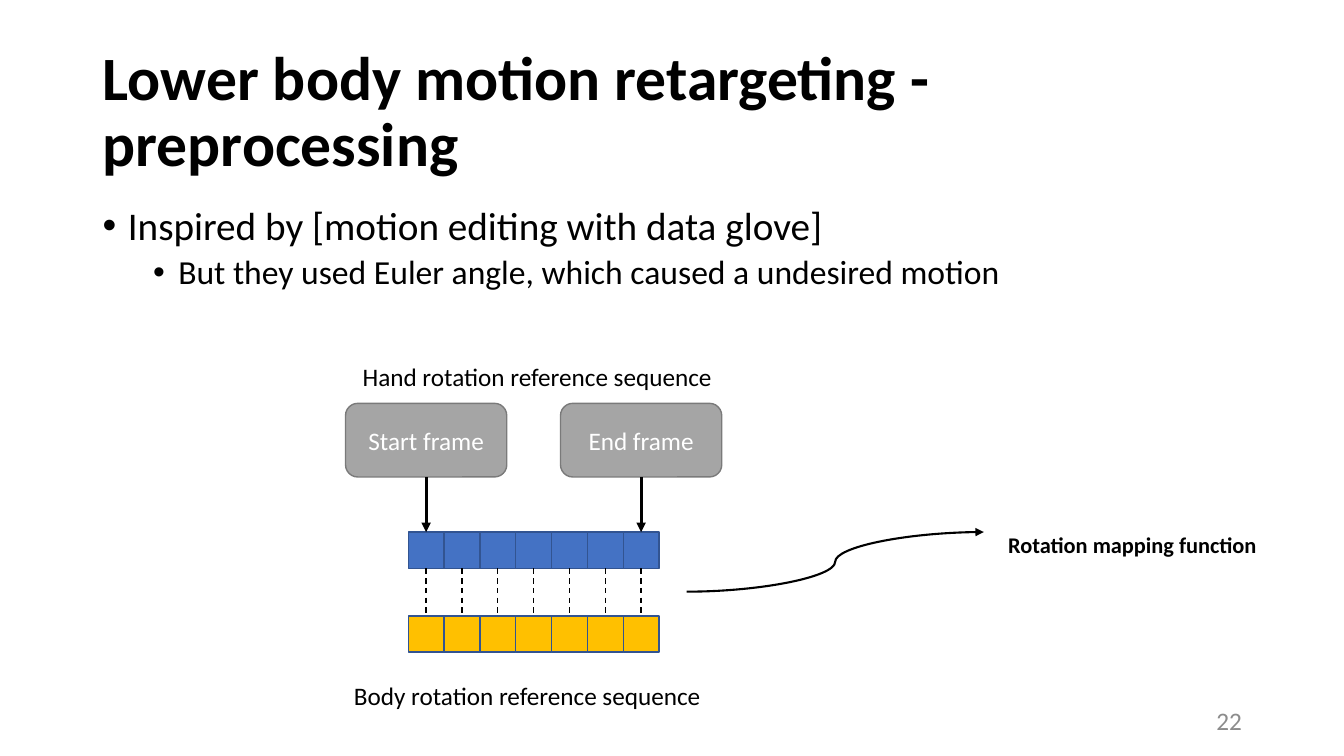
import pptx
import pptx.util
import pptx.dml.color
import pptx.enum.dml
import pptx.enum.shapes
import pptx.enum.text
import pptx.oxml
import pptx.oxml.ns

COLORS = {"text": "000000", "number": "8C8C8C", "hand": "4472C4", "body": "FFC000",
          "cell_line": "325491", "frame": "A5A5A5", "frame_line": "7A7A7A", "light": "FFFFFF"}
ALIGN = pptx.enum.text.PP_ALIGN
MIDDLE = pptx.enum.text.MSO_ANCHOR.MIDDLE
SHAPE = pptx.enum.shapes.MSO_SHAPE
LINK = pptx.enum.shapes.MSO_CONNECTOR
COUNT = 7

prs = pptx.Presentation()
prs.slide_width = pptx.util.Inches(13.33)
prs.slide_height = pptx.util.Inches(7.5)


def rgb(name):
    """Return the named colour."""
    return pptx.dml.color.RGBColor.from_string(COLORS[name])


def emu(*shares):
    """Turn alternating x and y percentages of the slide into lengths."""
    sizes = (prs.slide_width, prs.slide_height)
    return [int(v * sizes[i % 2] / 100) for i, v in enumerate(shares)]


def apply(obj, **values):
    """Set each given attribute on an object."""
    for name, value in values.items():
        setattr(obj, name, value)


def write(p, text, size, color="text", bold=False, **layout):
    """Fill a paragraph with one formatted run."""
    apply(p, **layout)
    r = p.add_run()
    r.text = text
    apply(r.font, name="Calibri", size=pptx.util.Pt(size), bold=bold)
    r.font.color.rgb = rgb(color)


def add_text(s, box, anchor=pptx.enum.text.MSO_ANCHOR.TOP, wrap=True):
    """Add an empty text box and return its frame."""
    tf = s.shapes.add_textbox(*emu(*box)).text_frame
    apply(tf, word_wrap=wrap, vertical_anchor=anchor)
    return tf


def add_block(s, kind, box, fill, line):
    """Add a filled, outlined shape."""
    sp = s.shapes.add_shape(kind, *emu(*box))
    sp.shadow.inherit = False
    sp.fill.solid()
    sp.fill.fore_color.rgb = rgb(fill)
    sp.line.color.rgb = rgb(line)
    sp.line.width = pptx.util.Pt(1)
    return sp


def add_link(s, kind, ends, width, arrow=False, dash=None):
    """Add a black connector between two points."""
    c = s.shapes.add_connector(kind, *emu(*ends))
    c.line.color.rgb = rgb("text")
    apply(c.line, width=pptx.util.Pt(width), dash_style=dash)
    if arrow:
        tail = pptx.oxml.parse_xml(f'<a:tailEnd {pptx.oxml.ns.nsdecls("a")} type="triangle"/>')
        c.line._get_or_add_ln().append(tail)
    c._element.spPr.append(pptx.oxml.parse_xml(f'<a:effectLst {pptx.oxml.ns.nsdecls("a")}/>'))
    return c


def join(s, upper, lower, width, **style):
    """Connect the bottom of one shape to the top of another."""
    c = add_link(s, LINK.STRAIGHT, (0, 0, 0, 0), width, **style)
    c.begin_connect(upper, 2)
    c.end_connect(lower, 0)


def add_title(s, box):
    """Place the slide title."""
    tf = add_text(s, box, MIDDLE)
    write(tf.paragraphs[0], "Lower body motion retargeting - preprocessing", 44, bold=True,
          line_spacing=0.9)


def add_bullets(s, box):
    """Place the two levels of bullets."""
    tf = add_text(s, box)
    items = [("Inspired by [motion editing with data glove]", 28, 0.25, 0),
             ("But they used Euler angle, which caused a undesired motion", 24, 0.75, 5)]
    for i, (text, size, margin, before) in enumerate(items):
        p = tf.add_paragraph() if i else tf.paragraphs[0]
        pPr = p._p.get_or_add_pPr()
        pPr.set("marL", str(pptx.util.Inches(margin)))
        pPr.set("indent", str(-pptx.util.Inches(0.25)))
        for bullet in ('buFont {} typeface="Arial"', 'buChar {} char="•"'):
            pPr.append(pptx.oxml.parse_xml(f'<a:{bullet.format(pptx.oxml.ns.nsdecls("a"))}/>'))
        write(p, text, size, line_spacing=0.9, space_before=pptx.util.Pt(before), level=i)


def add_sequences(s, box):
    """Draw the hand and body sequences on a grid of 11 columns."""
    x, y, w, h = box
    col, row = w / 11, h / 9.92
    strips = [[add_block(s, SHAPE.RECTANGLE, (x + (2 + i) * col, y + top * row, col, row),
                         fill, "cell_line") for i in range(COUNT)]
              for top, fill in ((4.86, "hand"), (7.17, "body"))]
    for hand, body in zip(*strips):
        join(s, hand, body, 1, dash=pptx.enum.dml.MSO_LINE.DASH)
    for text, i in (("Start frame", 0), ("End frame", COUNT - 1)):
        sp = add_block(s, SHAPE.ROUNDED_RECTANGLE,
                       (x + (i + 0.25) * col, y + 1.31 * row, 4.5 * col, 2.03 * row),
                       "frame", "frame_line")
        sp.text_frame.vertical_anchor = MIDDLE
        write(sp.text_frame.paragraphs[0], text, 18, "light", alignment=ALIGN.CENTER)
        join(s, sp, strips[0][i], 2.25, arrow=True)
    for name, dx, top in (("Hand", 0.1, 0), ("Body", -0.18, 8.81)):
        tf = add_text(s, (x + dx * col, y + top * row, w, 1.11 * row))
        write(tf.paragraphs[0], f"{name} rotation reference sequence", 18,
              alignment=ALIGN.CENTER)


def add_mapping(s, box):
    """Draw the curved arrow and the name it leads to."""
    x, y, w, h = box
    add_link(s, LINK.CURVE, (x, y + h, x + 0.51 * w, y + 0.09 * h), 1.5, arrow=True)
    tf = add_text(s, (x + 0.53 * w, y, 0.47 * w, 0.57 * h), wrap=False)
    write(tf.paragraphs[0], "Rotation mapping function", 16, bold=True, alignment=ALIGN.CENTER)


def add_number(s, box):
    """Place the slide number."""
    tf = add_text(s, box, MIDDLE)
    write(tf.paragraphs[0], "22", 18, "number", alignment=ALIGN.RIGHT)


def main():
    """Build and save the slide."""
    s = prs.slides.add_slide(prs.slide_layouts[6])
    add_title(s, (6.9, 5.33, 86.25, 19.33))
    add_bullets(s, (6.9, 26.67, 86.25, 63.47))
    add_number(s, (70.65, 92.67, 22.5, 5.33))
    add_sequences(s, (25.04, 47.07, 29.33, 47.6))
    add_mapping(s, (51.08, 69.6, 43.37, 8.67))
    prs.save("out.pptx")


if __name__ == "__main__":
    main()
